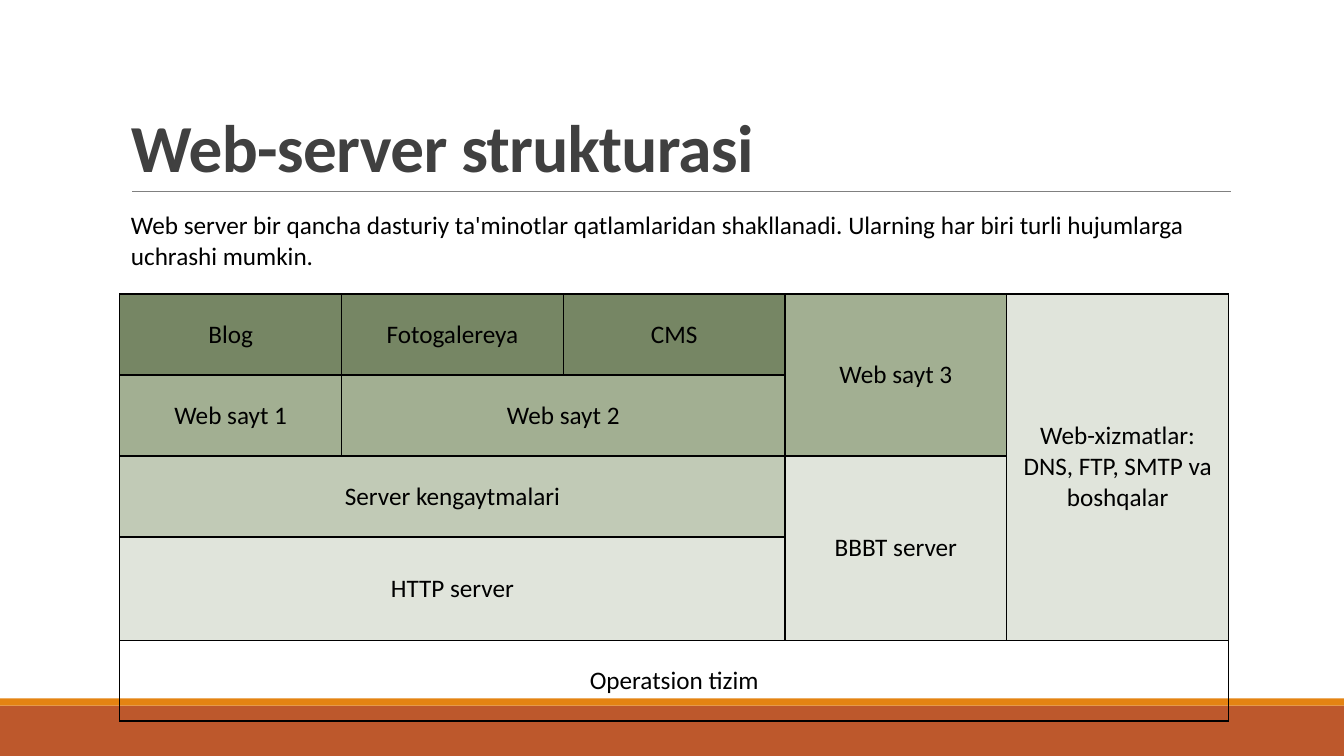
from lxml.etree import SubElement
from pptx import Presentation
from pptx.dml.color import RGBColor
from pptx.enum.shapes import MSO_CONNECTOR, MSO_SHAPE
from pptx.enum.text import MSO_ANCHOR, PP_ALIGN
from pptx.oxml import parse_xml
from pptx.oxml.ns import nsdecls, qn
from pptx.util import Cm, Pt

FONT = "Calibri"
BLACK = RGBColor(0x00, 0x00, 0x00)
DARK = RGBColor(0x40, 0x40, 0x40)
GRAY = RGBColor(0x80, 0x80, 0x80)
RUST = RGBColor(0xBD, 0x58, 0x2C)
AMBER = RGBColor(0xE4, 0x83, 0x12)
MOSS = RGBColor(0x76, 0x86, 0x64)
SAGE = RGBColor(0xA2, 0xAF, 0x92)
MIST = RGBColor(0xC1, 0xCA, 0xB6)
PALE = RGBColor(0xE0, 0xE4, 0xDB)

INTRO = ("Web server bir qancha dasturiy ta'minotlar qatlamlaridan shakllanadi. "
         "Ularning har biri turli hujumlarga uchrashi mumkin.")
ROWS = [2.04, 2.04, 2.04, 2.6, 2.04]
COLS = 5
LAYERS = [
    (0, 0, 1, 1, "Blog", MOSS),
    (0, 1, 1, 1, "Fotogalereya", MOSS),
    (0, 2, 1, 1, "CMS", MOSS),
    (0, 3, 2, 1, "Web sayt 3", SAGE),
    (0, 4, 4, 1, "Web-xizmatlar: DNS, FTP, SMTP va boshqalar", PALE),
    (1, 0, 1, 1, "Web sayt 1", SAGE),
    (1, 1, 1, 2, "Web sayt 2", SAGE),
    (2, 0, 1, 3, "Server kengaytmalari", MIST),
    (2, 3, 2, 1, "BBBT server", PALE),
    (3, 0, 1, 3, "HTTP server", PALE),
    (4, 0, 1, 5, "Operatsion tizim", None),
]


def add_run(para, text, size, color, bold=False):
    """Add one styled run to a paragraph."""
    run = para.add_run()
    run.text = text
    font = run.font
    font.name, font.size, font.bold = FONT, Pt(size), bold
    font.color.rgb = color
    return run


def add_box(slide, box, anchor):
    """Add a wrapping text box and return its frame."""
    frame = slide.shapes.add_textbox(*map(Cm, box)).text_frame
    frame.word_wrap = True
    frame.vertical_anchor = anchor
    return frame


def add_foot(slide, box):
    """Draw the thin and thick bars along the foot."""
    left, top, width, height = box
    thin = 0.18
    for y, tall, color in ((top + thin, height - thin, RUST), (top, thin, AMBER)):
        bar = slide.shapes.add_shape(
            MSO_SHAPE.RECTANGLE, Cm(left), Cm(y), Cm(width), Cm(tall))
        bar.shadow.inherit = False
        bar.fill.solid()
        bar.fill.fore_color.rgb = color
        bar.line.fill.background()


def add_title(slide, box):
    """Write the title with a rule along its base."""
    left, top, width, height = box
    base = Cm(top + height)
    rule = slide.shapes.add_connector(
        MSO_CONNECTOR.STRAIGHT, Cm(left + 0.28), base, Cm(left + width + 0.02), base)
    rule.line.color.rgb = GRAY
    rule.line.width = Pt(0.5)
    SubElement(rule.element.spPr, qn("a:effectLst"))
    para = add_box(slide, box, MSO_ANCHOR.BOTTOM).paragraphs[0]
    para.line_spacing = 0.85
    run = add_run(para, "Web-server strukturasi", 48, DARK, True)
    run.font._element.set("spc", "-50")


def add_intro(slide, box):
    """Write the lead text."""
    frame = add_box(slide, box, MSO_ANCHOR.TOP)
    add_run(frame.paragraphs[0], INTRO, 18, BLACK)


def add_edges(cell):
    """Give a cell thin black edges."""
    props = cell._tc.get_or_add_tcPr()
    for place, side in enumerate("LRTB"):
        props.insert(place, parse_xml(
            f'<a:ln{side} {nsdecls("a")} w="12700"><a:solidFill>'
            f'<a:srgbClr val="{BLACK}"/></a:solidFill></a:ln{side}>'))


def add_stack(slide, box):
    """Lay out the server layers as a merged table."""
    left, top, width = box
    table = slide.shapes.add_table(
        len(ROWS), COLS, Cm(left), Cm(top), Cm(width), Cm(sum(ROWS))).table
    table.first_row = table.horz_banding = False
    for col in table.columns:
        col.width = Cm(width / COLS)
    for row, tall in zip(table.rows, ROWS):
        row.height = Cm(tall)
    for cell in table.iter_cells():
        cell.fill.background()
        add_edges(cell)
    for row, col, down, over, text, color in LAYERS:
        cell = table.cell(row, col)
        if down * over > 1:
            cell.merge(table.cell(row + down - 1, col + over - 1))
        if color:
            cell.fill.solid()
            cell.fill.fore_color.rgb = color
        cell.vertical_anchor = MSO_ANCHOR.MIDDLE
        para = cell.text_frame.paragraphs[0]
        para.alignment = PP_ALIGN.CENTER
        add_run(para, text, 18, BLACK)


def main():
    """Build and save the slide."""
    deck = Presentation()
    deck.slide_width, deck.slide_height = Cm(33.87), Cm(19.05)
    slide = deck.slides.add_slide(deck.slide_layouts[6])
    add_foot(slide, (0, 17.6, 33.87, 1.45))
    add_title(slide, (3.05, 0.79, 27.94, 4.04))
    add_stack(slide, (3.02, 7.41, 27.94))
    add_intro(slide, (3.05, 5.16, 27.94, 1.8))
    deck.save("out.pptx")


main()
